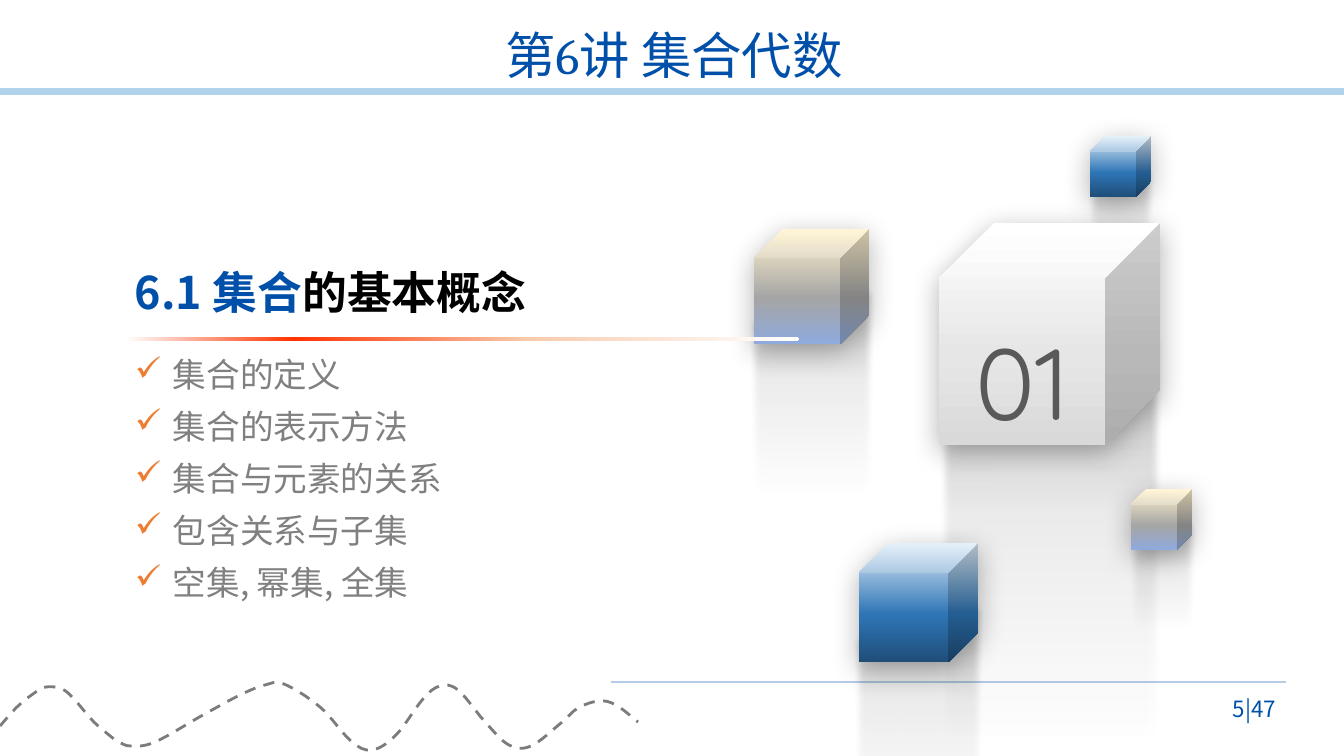
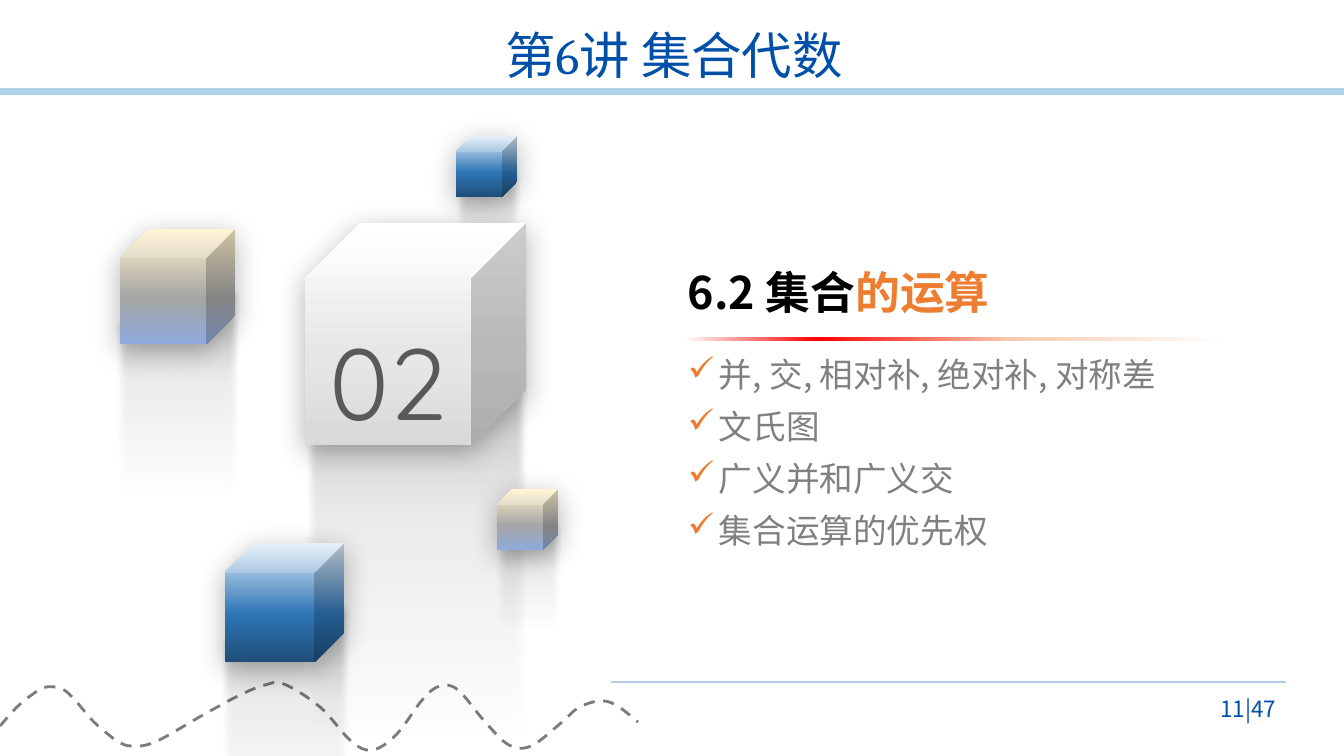
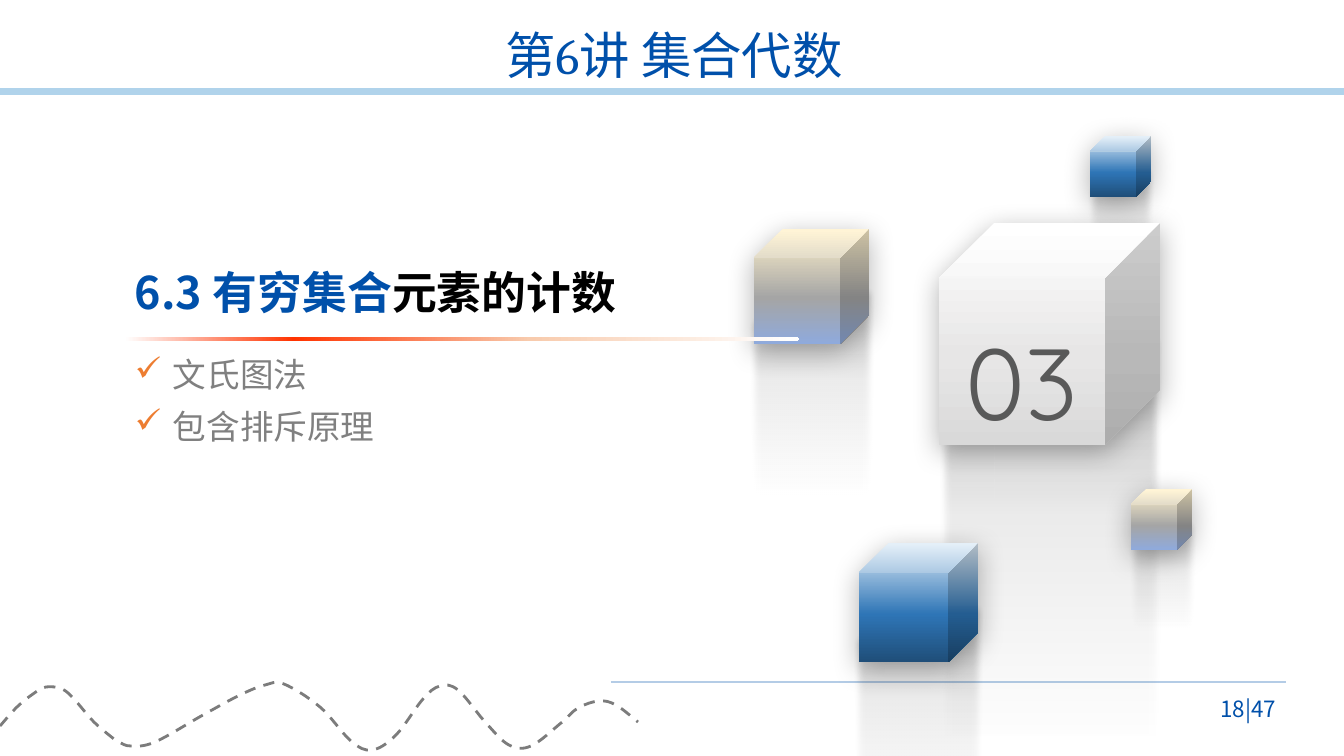
import collections
import pptx
import pptx.dml.color
import pptx.enum.dml
import pptx.enum.shapes
import pptx.enum.text
import pptx.oxml
import pptx.oxml.ns
import pptx.util
from lxml import etree

RGB = pptx.dml.color.RGBColor
SHAPE = pptx.enum.shapes.MSO_SHAPE
ALIGN = pptx.enum.text.PP_ALIGN
ANCHOR = pptx.enum.text.MSO_ANCHOR
qn = pptx.oxml.ns.qn

NAVY = RGB(0x00, 0x50, 0xAA)
PALE_BLUE = RGB(0xB0, 0xD3, 0xEB)
RULE_BLUE = RGB(0xB4, 0xCC, 0xE6)
BLACK = RGB(0, 0, 0)
WHITE = RGB(0xFF, 0xFF, 0xFF)
ORANGE = RGB(0xED, 0x7D, 0x31)
PEACH = RGB(0xF8, 0xCB, 0xAD)
RED = RGB(0xFF, 0, 0)
VERMILION = RGB(0xFF, 0x33, 0)
GREY = RGB(0x80, 0x80, 0x80)
DASH_GREY = RGB(0x7C, 0x7C, 0x7C)
DARK_GREY = RGB(0x59, 0x59, 0x59)
SHADE = RGB(0x26, 0x26, 0x26)

BLUE_CUBE = [(1, RGB(0xDE, 0xEB, 0xF7)), (60, RGB(0x2E, 0x75, 0xB6)), (100, RGB(0x1F, 0x4E, 0x79))]
CREAM_CUBE = [(1, RGB(0xFF, 0xF2, 0xCC)), (60, RGB(0xA5, 0xA5, 0xA5)), (100, RGB(0x8F, 0xAA, 0xDC))]
WHITE_CUBE = [(0, WHITE), (60, RGB(0xE7, 0xE6, 0xE6)), (100, RGB(0xD9, 0xD9, 0xD9))]
REFLECTION = [(30, BLACK, 0), (50, BLACK, 4), (70, BLACK, 8), (100, SHADE, 30)]

BODY_FONT = "Noto Sans CJK SC"
CUBES = [
    ((1090, 136, 61, 61), (1087, 167, 69, 167), BLUE_CUBE),
    ((939, 223, 221, 222), (938, 335, 224, 599), WHITE_CUBE),
    ((859, 543, 119, 119), (853, 603, 132, 323), BLUE_CUBE),
    ((1131, 489, 61, 61), (1128, 520, 69, 167), CREAM_CUBE),
    ((754, 229, 115, 115), (748, 287, 127, 311), CREAM_CUBE),
]
WAVE = [
    (0, 726), (17, 707), (33, 694), (46, 687), (62, 689), (74, 699), (93, 721), (109, 735),
    (119, 742), (131, 746), (155, 742), (203, 715), (240, 695), (265, 685), (284, 684),
    (320, 707), (351, 741), (372, 750), (396, 735), (423, 699), (440, 686), (458, 690),
    (486, 723), (509, 745), (531, 746), (561, 723), (578, 708), (599, 701), (616, 705), (638, 722),
]

Column = collections.namedtuple("Column", "left bar_width bar_stops first_width width indent cube_shift")
LEFT = Column(125, 674, [(0, WHITE), (25, VERMILION), (60, PEACH), (99, WHITE)], 476, 476, 38, 0)
RIGHT = Column(678, 555, [(1, WHITE), (25, RED), (60, PEACH), (99, WHITE)], 565, 375, 31, -634)

SECTIONS = [
    (LEFT, "01", 419, [("6.1 集合", NAVY), ("的基本概念", BLACK)],
     ["集合的定义", "集合的表示方法", "集合与元素的关系", "包含关系与子集", "空集, 幂集, 全集"], "5|47"),
    (RIGHT, "02", 555, [("6.2 集合", BLACK), ("的运算", ORANGE)],
     ["并, 交, 相对补, 绝对补, 对称差", "文氏图", "广义并和广义交", "集合运算的优先权"], "11|47"),
    (LEFT, "03", 510, [("6.3 有穷集合", NAVY), ("元素的计数", BLACK)],
     ["文氏图法", "包含排斥原理"], "18|47"),
]


class Deck:
    """Holds the presentation, its style and the slide being drawn."""

    SCALE = 914400 / 100.8

    def __init__(self):
        self.presentation = pptx.Presentation()
        self.presentation.slide_width = self.emu(1344)
        self.presentation.slide_height = self.emu(756)
        self.slide = None

    def emu(self, pixels):
        return pptx.util.Emu(round(pixels * self.SCALE))

    def box(self, bounds):
        return [self.emu(length) for length in bounds]

    def new_slide(self, page):
        self.slide = self.presentation.slides.add_slide(self.presentation.slide_layouts[6])
        self.rule((0, 92), (1344, 92), PALE_BLUE, 5)
        self.rule((611, 682), (1286, 682), RULE_BLUE, 1.75)
        self.wave(WAVE)
        self.text((158, 25, 1032, 66), [("第6讲 集合代数", NAVY)], 36, "Cambria",
                  ALIGN.CENTER, ANCHOR.MIDDLE, spacing=0.9)
        self.text((1180, 689, 106, 40), [(page, NAVY)], 16, align=ALIGN.RIGHT, anchor=ANCHOR.MIDDLE)

    def rule(self, start, end, color, width):
        line = self.slide.shapes.add_connector(
            pptx.enum.shapes.MSO_CONNECTOR.STRAIGHT, *self.box(start + end))
        line.line.color.rgb = color
        line.line.width = pptx.util.Pt(width)
        etree.SubElement(line._element.spPr, qn("a:effectLst"))

    def wave(self, anchors):
        points = [self.box(anchor) for anchor in anchors]
        builder = self.slide.shapes.build_freeform(*points[0], scale=1.0)
        builder.add_line_segments(points[1:], close=False)
        shape = builder.convert_to_shape()
        shape.shadow.inherit = False
        shape.fill.background()
        shape.line.color.rgb = DASH_GREY
        shape.line.width = pptx.util.Pt(2)
        shape.line.dash_style = pptx.enum.dml.MSO_LINE.DASH
        local = [(x - shape.left, y - shape.top) for x, y in points]
        padded = [local[0]] + local + [local[-1]]
        segments = list(shape._element.iter(qn("a:lnTo")))
        for segment, before, start, end, after in zip(segments, padded, padded[1:], padded[2:], padded[3:]):
            leave = [b + (c - a) / 6 for a, b, c in zip(before, start, end)]
            arrive = [b - (c - a) / 6 for a, b, c in zip(start, end, after)]
            curve = etree.Element(qn("a:cubicBezTo"))
            for x, y in (leave, arrive, end):
                etree.SubElement(curve, qn("a:pt"), x=str(round(x)), y=str(round(y)))
            segment.getparent().replace(segment, curve)

    def gradient_shape(self, shapes, kind, bounds, stops, angle):
        shape = shapes.add_shape(kind, *self.box(bounds))
        shape.shadow.inherit = False
        shape.line.fill.background()
        shape.fill.gradient()
        shape.fill.gradient_angle = angle
        stop_list = next(shape._element.spPr.iter(qn("a:gsLst")))
        for stop in list(stop_list):
            stop_list.remove(stop)
        for position, color, *alpha in stops:
            stop = etree.SubElement(stop_list, qn("a:gs"), pos=str(position * 1000))
            self.color(stop, color, *alpha)
        return shape

    def color(self, parent, color, alpha=100):
        element = etree.SubElement(parent, qn("a:srgbClr"), val=str(color))
        if alpha < 100:
            etree.SubElement(element, qn("a:alpha"), val=str(alpha * 1000))

    def effect(self, shape, tag, **attributes):
        effects = shape._element.spPr.find(qn("a:effectLst"))
        return etree.SubElement(effects, qn(tag), **attributes)

    def cubes(self, number, shift):
        for cube_bounds, reflection_bounds, stops in CUBES:
            group = self.slide.shapes.add_group_shape()
            shifted = [(left + shift, *rest) for left, *rest in (reflection_bounds, cube_bounds)]
            reflection = self.gradient_shape(group.shapes, SHAPE.CUBE, shifted[0], REFLECTION, 270)
            reflection.rotation = 180
            self.effect(reflection, "a:softEdge", rad="63500")
            cube = self.gradient_shape(group.shapes, SHAPE.CUBE, shifted[1], stops, 270)
            shadow = self.effect(cube, "a:outerShdw", blurRad="254000", dist="63500",
                                 dir="5400000", algn="t", rotWithShape="0")
            self.color(shadow, BLACK, 30)
            if stops is WHITE_CUBE:
                self.set_text(cube, [(number, DARK_GREY)], 72, "Quicksand",
                              ALIGN.CENTER, ANCHOR.MIDDLE, spacing=1.3)

    def set_text(self, shape, runs, size, font=BODY_FONT, align=ALIGN.LEFT,
                 anchor=ANCHOR.TOP, bold=False, spacing=None):
        frame = shape.text_frame
        frame.word_wrap = True
        frame.vertical_anchor = anchor
        paragraph = frame.paragraphs[0]
        paragraph.alignment = align
        if spacing:
            paragraph.line_spacing = spacing
        paragraph.font.size = pptx.util.Pt(size)
        paragraph.font.bold = bold
        paragraph.font.color.rgb = runs[0][1]
        paragraph.font.name = font
        defaults = paragraph._p.pPr.find(qn("a:defRPr"))
        etree.SubElement(defaults, qn("a:ea"), typeface=BODY_FONT)
        for text, color in runs:
            run = paragraph.add_run()
            run.text = text
            if color != runs[0][1]:
                run.font.color.rgb = color
        return paragraph

    def text(self, bounds, runs, size, *style, **options):
        shape = self.slide.shapes.add_textbox(*self.box(bounds))
        return self.set_text(shape, runs, size, *style, **options)

    def heading(self, column, width, runs):
        self.text((column.left, 258, width, 65), runs, 32, anchor=ANCHOR.BOTTOM, bold=True)
        bar = self.gradient_shape(self.slide.shapes, SHAPE.ROUNDED_RECTANGLE,
                                  (column.left, 337, column.bar_width, 4), column.bar_stops, 0)
        bar.adjustments[0] = 0.5

    def bullets(self, column, items):
        for index, item in enumerate(items):
            width = column.width if index else column.first_width
            paragraph = self.text((column.left, 349 + 52 * index, width, 50), [(item, GREY)], 24)
            properties = paragraph._p.pPr
            indent = self.emu(column.indent)
            properties.set("marL", str(indent))
            properties.set("indent", str(-indent))
            bullet_color = etree.Element(qn("a:buClr"))
            self.color(bullet_color, ORANGE)
            properties.insert(0, bullet_color)
            bullet_color.addnext(etree.Element(qn("a:buChar"), char="✓"))


def main():
    deck = Deck()
    for column, number, heading_width, heading, items, page in SECTIONS:
        deck.new_slide(page)
        deck.cubes(number, column.cube_shift)
        deck.heading(column, heading_width, heading)
        deck.bullets(column, items)
    deck.presentation.save("out.pptx")


if __name__ == "__main__":
    main()
